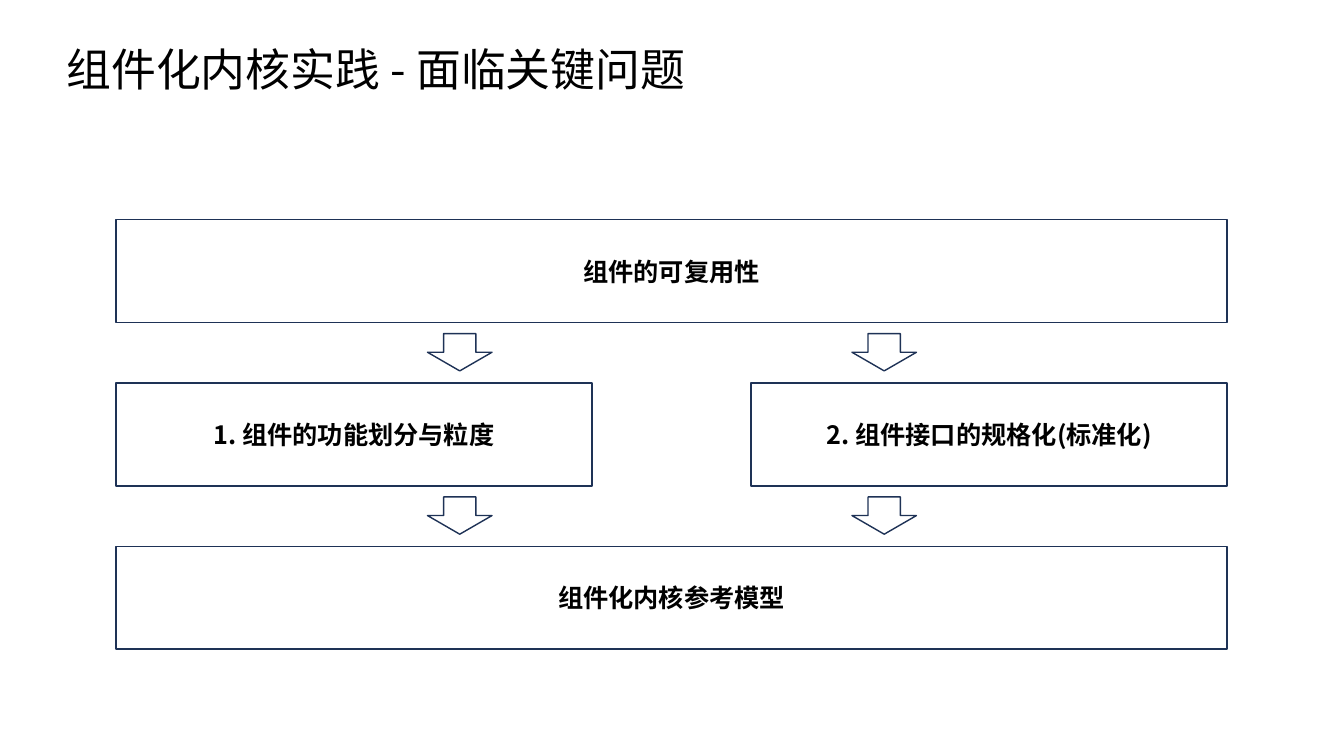
from lxml import etree
from pptx import Presentation
from pptx import util as u
from pptx.dml.color import RGBColor
from pptx.enum import shapes, text
from pptx.oxml import ns

PX = 9144  # EMU per px, 100 px to the inch
FONT = "Noto Sans CJK SC"
BLACK = RGBColor(0x00, 0x00, 0x00)
WHITE = RGBColor(0xFF, 0xFF, 0xFF)
NAVY = RGBColor(0x1E, 0x32, 0x56)

LEFT, FULL_W, HALF_W, BOX_H = 115, 1102, 472, 102
RIGHT = LEFT + FULL_W - HALF_W
TOP, ROW_STEP = 218, 162
ARROW_XS, ARROW_DROP = (424, 845), 113


def px(*lengths):
    return [u.Emu(n * PX) for n in lengths]


def add_run(p, wording, size, bold=False):
    r = p.add_run()
    r.text = wording
    r.font.name = FONT
    r.font.size = u.Pt(size)
    r.font.bold = bold
    r.font.color.rgb = BLACK
    # East Asian characters take their own typeface
    ea = etree.SubElement(r.font._element, ns.qn("a:ea"))
    ea.set("typeface", FONT)


def add_title(s, wording, *box):
    sp = s.shapes.title
    sp.left, sp.top, sp.width, sp.height = px(*box)
    tf = sp.text_frame
    tf.auto_size = text.MSO_AUTO_SIZE.NONE
    tf.vertical_anchor = text.MSO_ANCHOR.MIDDLE
    p = tf.paragraphs[0]
    p.alignment = text.PP_ALIGN.LEFT
    add_run(p, wording, 32)


def add_outlined(s, kind, *box):
    sp = s.shapes.add_shape(kind, *px(*box))
    sp.shadow.inherit = False
    sp.fill.solid()
    sp.fill.fore_color.rgb = WHITE
    sp.line.color.rgb = NAVY
    sp.line.width = u.Pt(1)
    return sp


def add_box(s, wording, x, row, w):
    sp = add_outlined(s, shapes.MSO_SHAPE.RECTANGLE,
                      x, TOP + row * ROW_STEP, w, BOX_H)
    tf = sp.text_frame
    tf.word_wrap = True
    tf.vertical_anchor = text.MSO_ANCHOR.MIDDLE
    p = tf.paragraphs[0]
    p.alignment = text.PP_ALIGN.CENTER
    add_run(p, wording, 18, bold=True)


def add_arrows(s, row):
    for x in ARROW_XS:
        add_outlined(s, shapes.MSO_SHAPE.DOWN_ARROW,
                     x, TOP + row * ROW_STEP + ARROW_DROP, 64, 37)


def main():
    prs = Presentation()
    prs.slide_width, prs.slide_height = px(1333, 750)
    s = prs.slides.add_slide(prs.slide_layouts[5])

    add_title(s, "组件化内核实践 - 面临关键问题", 56, 36, 799, 64)

    # Goal, the two questions behind it, and the resulting model
    add_box(s, "组件的可复用性", LEFT, 0, FULL_W)
    add_arrows(s, 0)
    add_box(s, "1. 组件的功能划分与粒度", LEFT, 1, HALF_W)
    add_box(s, "2. 组件接口的规格化(标准化)", RIGHT, 1, HALF_W)
    add_arrows(s, 1)
    add_box(s, "组件化内核参考模型", LEFT, 2, FULL_W)

    prs.save("out.pptx")


if __name__ == "__main__":
    main()
